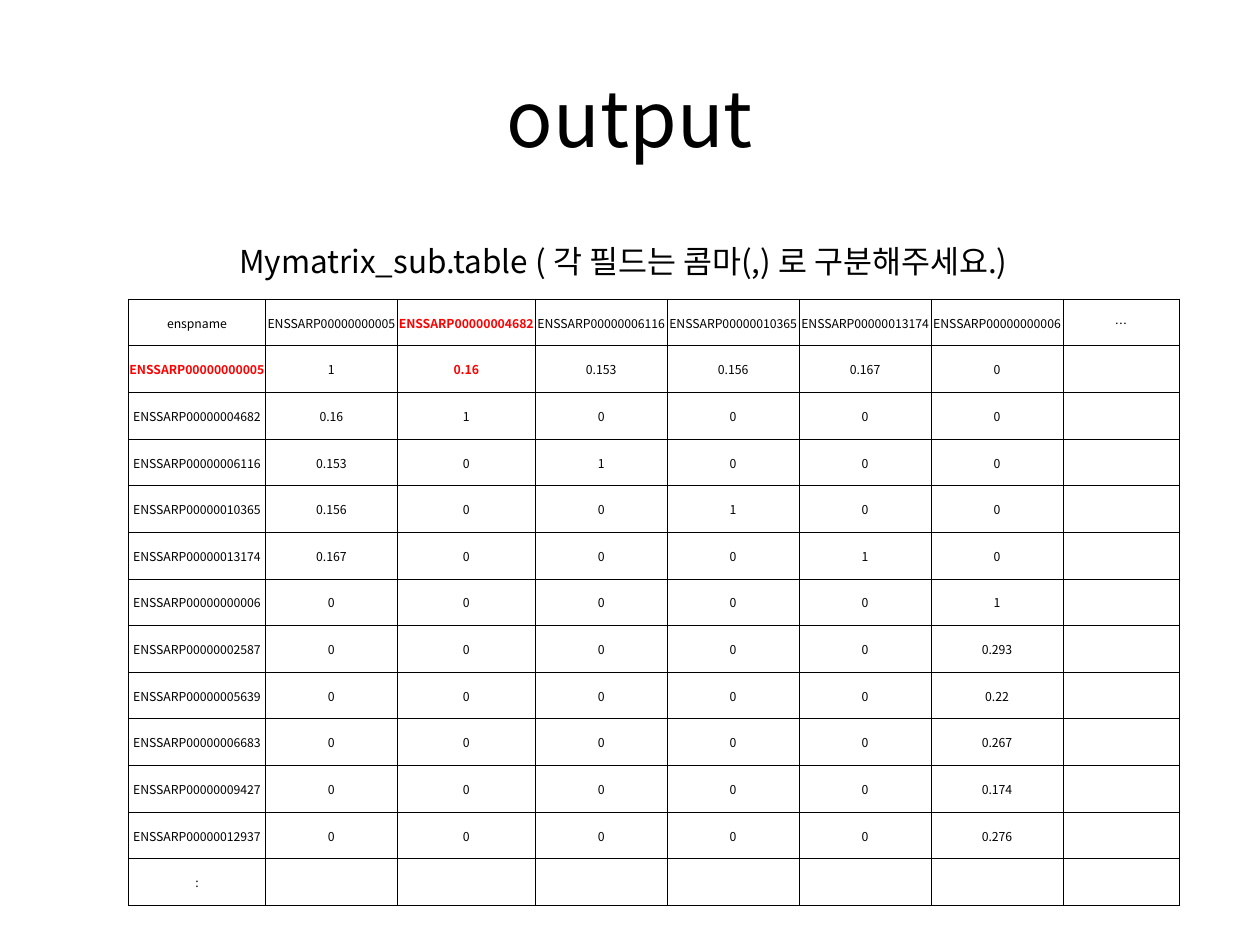
from lxml import etree
from pptx import Presentation
from pptx import util as u
from pptx.dml.color import RGBColor
from pptx.enum import text
from pptx.oxml import ns

FONT = "Noto Sans CJK KR"
HUES = {"ink": "000000", "mark": "FF0000"}
HEAD = ["00000000005", "00000004682", "00000006116", "00000010365",
        "00000013174", "00000000006"]
MORE = ["00000002587", "00000005639", "00000006683", "00000009427",
        "00000012937"]
LINKS = ["0.16", "0.153", "0.156", "0.167"]
TAIL = ["0.293", "0.22", "0.267", "0.174", "0.276"]
MARKS = {(0, 2), (1, 0), (1, 2)}
WIDTHS = [2.76, 2.66, 2.78, 2.66, 2.66, 2.66, 2.66, 2.34]
ROW = 0.94


def add_run(para, words, size, hue="ink", bold=False):
    run = para.add_run()
    run.text = words
    font = run.font
    font.size, font.bold, font.name = u.Pt(size), bold, FONT
    font.color.rgb = RGBColor.from_string(HUES[hue])
    east = etree.SubElement(run._r.get_or_add_rPr(), ns.qn("a:ea"))
    east.set("typeface", FONT)


def add_text(slide, box, runs, size, align, anchor, wrap):
    frame = slide.shapes.add_textbox(*map(u.Cm, box)).text_frame
    frame.word_wrap = wrap
    frame.vertical_anchor = anchor
    para = frame.paragraphs[0]
    para.alignment = align
    for words in runs:
        add_run(para, words, size)


def add_edges(cell):
    props = cell._tc.get_or_add_tcPr()
    for side in ("lnL", "lnR", "lnT", "lnB"):
        line = etree.SubElement(props, ns.qn("a:" + side), w=str(u.Pt(0.5)))
        fill = etree.SubElement(line, ns.qn("a:solidFill"))
        etree.SubElement(fill, ns.qn("a:srgbClr"), val=HUES["ink"])


def fill_cell(cell, words, marked):
    add_edges(cell)
    cell.fill.background()
    cell.margin_left = cell.margin_right = cell.margin_top = u.Cm(0.02)
    cell.margin_bottom = 0
    cell.vertical_anchor = text.MSO_ANCHOR.MIDDLE
    para = cell.text_frame.paragraphs[0]
    para.alignment = text.PP_ALIGN.CENTER
    if words:
        add_run(para, words, 7, "mark" if marked else "ink", marked)
    else:
        para._p.get_or_add_endParaRPr().set("sz", "700")


def make_rows():
    code = "ENSSARP{}".format
    count = len(HEAD)
    grid = [["1" if r == c else "0" for c in range(count)]
            for r in range(count)]
    for i, score in enumerate(LINKS, 1):
        grid[0][i] = grid[i][0] = score
    grid += [["0"] * (count - 1) + [score] for score in TAIL]
    rows = [["enspname", *map(code, HEAD), "…"]]
    rows += [[code(name), *vals, ""] for name, vals in zip(HEAD + MORE, grid)]
    return rows + [[":"] + [""] * (count + 1)]


def add_grid(slide, left, top, rows):
    frame = slide.shapes.add_table(
        len(rows), len(WIDTHS), u.Cm(left), u.Cm(top),
        u.Cm(sum(WIDTHS)), u.Cm(ROW * len(rows)))
    table = frame.table
    table.first_row = table.horz_banding = False
    for col, width in zip(table.columns, WIDTHS):
        col.width = u.Cm(width)
    for r, vals in enumerate(rows):
        table.rows[r].height = u.Cm(ROW)
        for c, words in enumerate(vals):
            fill_cell(table.cell(r, c), words, (r, c) in MARKS)


def main():
    deck = Presentation()
    deck.slide_width, deck.slide_height = u.Cm(25.4), u.Cm(19.05)
    slide = deck.slides.add_slide(deck.slide_layouts[6])
    add_grid(slide, 2.59, 6.03, make_rows())
    add_text(slide, (4.57, 4.75, 16.87, 1.02),
             ["Mymatrix_sub.table ( 각 필드는 콤마(,) 로 구분해주세요.)"],
             18, text.PP_ALIGN.LEFT, text.MSO_ANCHOR.TOP, False)
    add_text(slide, (1.27, 0.76, 22.86, 3.18), ["output"],
             44, text.PP_ALIGN.CENTER, text.MSO_ANCHOR.MIDDLE, True)
    deck.save("out.pptx")


main()
